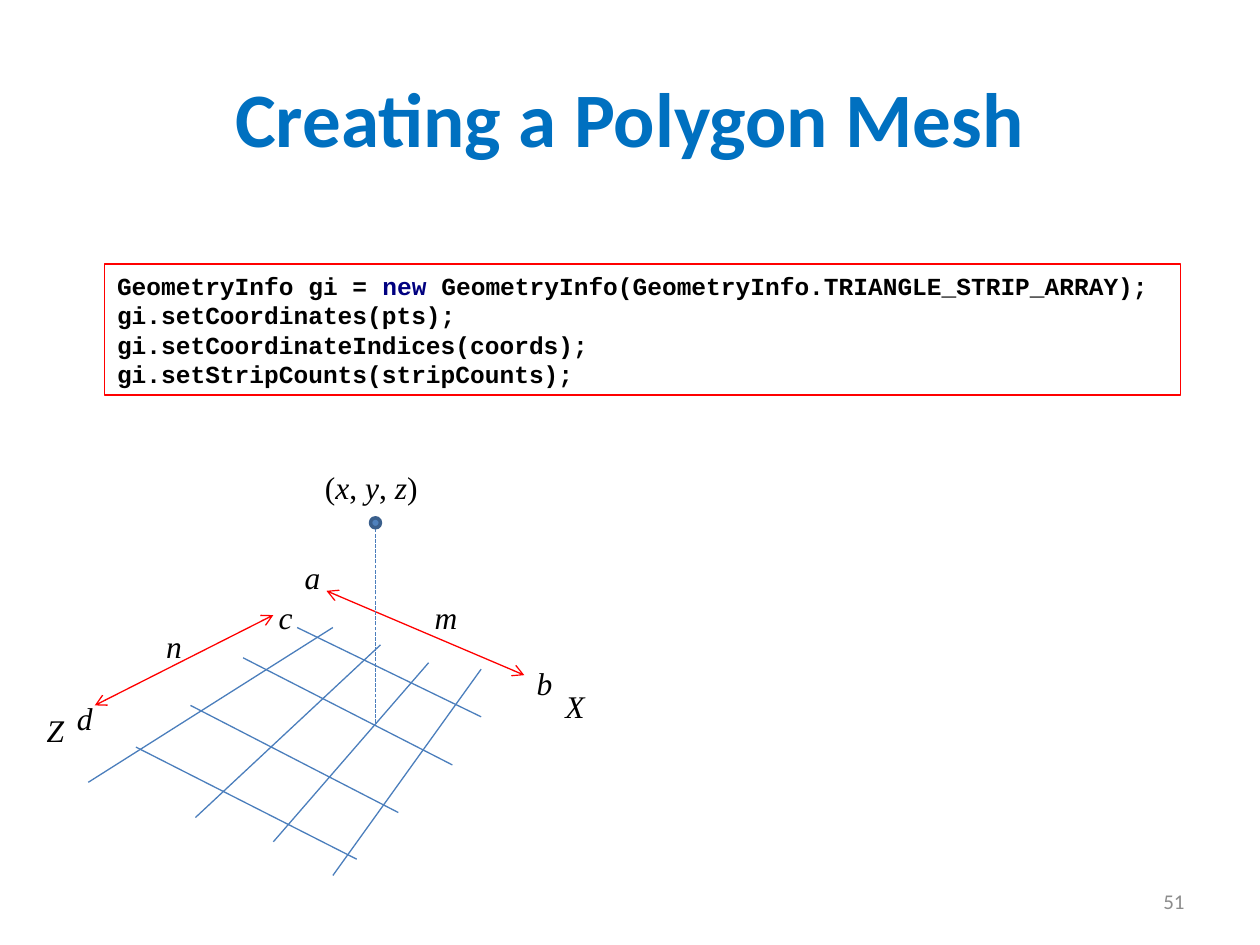
from dataclasses import dataclass

from lxml import etree
from pptx import Presentation
from pptx.dml.color import RGBColor
from pptx.enum.dml import MSO_LINE
from pptx.enum.shapes import MSO_CONNECTOR, MSO_SHAPE
from pptx.enum.text import MSO_ANCHOR, MSO_AUTO_SIZE, PP_ALIGN
from pptx.oxml.ns import qn
from pptx.util import Cm, Pt

STRAIGHT = MSO_CONNECTOR.STRAIGHT
RECTANGLE, OVAL = MSO_SHAPE.RECTANGLE, MSO_SHAPE.OVAL
TOP, MIDDLE = MSO_ANCHOR.TOP, MSO_ANCHOR.MIDDLE
LEFT, CENTER, RIGHT = PP_ALIGN.LEFT, PP_ALIGN.CENTER, PP_ALIGN.RIGHT
FIT_SHAPE, NO_FIT = MSO_AUTO_SIZE.SHAPE_TO_FIT_TEXT, MSO_AUTO_SIZE.NONE
SHORT_DASH = MSO_LINE.SQUARE_DOT

BLACK = RGBColor(0x00, 0x00, 0x00)
TITLE_BLUE = RGBColor(0x00, 0x70, 0xC0)
GREY = RGBColor(0x8C, 0x8C, 0x8C)
MESH_BLUE = RGBColor(0x4B, 0x7E, 0xBC)
POINT_FILL = RGBColor(0x4F, 0x81, 0xBD)
POINT_EDGE = RGBColor(0x3A, 0x5F, 0x8C)
RED = RGBColor(0xFF, 0x00, 0x00)
NAVY = RGBColor(0x00, 0x00, 0x80)


@dataclass(frozen=True)
class Span:
    text: str
    italic: bool = False
    color: RGBColor = BLACK


@dataclass(frozen=True)
class Line:
    """Straight line; lengths in centimetres."""
    x1: float
    y1: float
    x2: float
    y2: float
    color: RGBColor = MESH_BLUE
    dashed: bool = False
    arrows: bool = False


@dataclass(frozen=True)
class Label:
    """Italic letter; lengths in centimetres."""
    text: str
    left: float
    top: float
    width: float = 0.51
    wrap: bool = False


MESH_LINES = [
    # Along Z
    Line(1.78, 15.77, 6.71, 12.65),
    Line(3.94, 16.48, 7.67, 13.0),
    Line(5.51, 16.97, 8.64, 13.36),
    Line(6.71, 17.65, 9.7, 13.49),
    # Along X
    Line(9.7, 14.45, 5.99, 12.65),
    Line(9.12, 15.42, 4.9, 13.26),
    Line(8.03, 16.38, 3.84, 14.22),
    Line(7.19, 17.32, 2.74, 15.06),
    # Extents n and m
    Line(1.91, 14.22, 5.51, 12.4, RED, arrows=True),
    Line(10.57, 13.61, 6.58, 11.91, RED, arrows=True),
]
HEIGHT_LINE = Line(7.57, 14.58, 7.57, 10.67, dashed=True)

LABELS = [
    Label("a", 5.89, 11.13),
    Label("b", 10.57, 13.26),
    Label("d", 1.3, 13.97),
    Label("c", 5.51, 11.94, 0.36, wrap=True),
    Label("m", 8.51, 11.94, 0.58),
    Label("n", 3.1, 12.52),
    Label("Z", 0.69, 14.2),
    Label("X", 11.15, 13.72),
]

CODE = [
    [Span("GeometryInfo gi = "), Span("new ", color=NAVY),
     Span("GeometryInfo(GeometryInfo.TRIANGLE_STRIP_ARRAY);")],
    [Span("gi.setCoordinates(pts);")],
    [Span("gi.setCoordinateIndices(coords);")],
    [Span("gi.setStripCounts(stripCounts);")],
]
COORDINATES = [Span(part, italic=part in "xyz")
               for part in ("(", "x", ", ", "y", ", ", "z", ")")]


def write_text(box, paragraphs: list[list[Span]], *, font: str, size: float,
               bold: bool = False, align: PP_ALIGN = LEFT,
               anchor: MSO_ANCHOR = TOP, wrap: bool = False,
               grow: bool = True) -> None:
    frame = box.text_frame
    frame.word_wrap = wrap
    frame.auto_size = FIT_SHAPE if grow else NO_FIT
    frame.vertical_anchor = anchor
    for index, spans in enumerate(paragraphs):
        para = frame.add_paragraph() if index else frame.paragraphs[0]
        para.alignment = align
        for span in spans:
            run = para.add_run()
            run.text = span.text
            run.font.name = font
            run.font.size = Pt(size)
            run.font.bold = bold
            run.font.italic = span.italic
            run.font.color.rgb = span.color


def add_text(page, left: float, top: float, width: float, height: float,
             spans: list[Span], **text_format) -> None:
    box = page.shapes.add_textbox(Cm(left), Cm(top), Cm(width), Cm(height))
    write_text(box, [spans], **text_format)


def add_line(page, line: Line) -> None:
    connector = page.shapes.add_connector(
        STRAIGHT, Cm(line.x1), Cm(line.y1), Cm(line.x2), Cm(line.y2))
    connector.line.color.rgb = line.color
    connector.line.width = Pt(0.75)
    if line.dashed:
        connector.line.dash_style = SHORT_DASH
    if line.arrows:
        outline = connector.line._get_or_add_ln()
        for end in ("a:headEnd", "a:tailEnd"):
            etree.SubElement(outline, qn(end), type="arrow")
    etree.SubElement(connector._element.spPr, qn("a:effectLst"))


def main() -> None:
    deck = Presentation()
    deck.slide_width, deck.slide_height = Cm(25.4), Cm(19.05)
    page = deck.slides.add_slide(deck.slide_layouts[6])

    # Title and page number
    add_text(page, 1.27, 0.76, 22.86, 3.18,
             [Span("Creating a Polygon Mesh", color=TITLE_BLUE)],
             font="Calibri", size=44, bold=True, align=CENTER,
             anchor=MIDDLE, wrap=True, grow=False)
    add_text(page, 18.21, 17.65, 5.92, 1.02, [Span("51", color=GREY)],
             font="Calibri", size=12, align=RIGHT, anchor=MIDDLE,
             wrap=True, grow=False)

    # Mesh with its extents and letters
    for line in MESH_LINES:
        add_line(page, line)
    for label in LABELS:
        add_text(page, label.left, label.top, label.width, 0.61,
                 [Span(label.text, italic=True)],
                 font="Times New Roman", size=18, wrap=label.wrap)

    # Point above the mesh
    add_line(page, HEIGHT_LINE)
    add_text(page, 6.3, 9.32, 2.46, 1.02, COORDINATES,
             font="Times New Roman", size=18)
    point = page.shapes.add_shape(OVAL, Cm(7.47), Cm(10.44), Cm(0.2), Cm(0.2))
    point.shadow.inherit = False
    point.fill.solid()
    point.fill.fore_color.rgb = POINT_FILL
    point.line.color.rgb = POINT_EDGE
    point.line.width = Pt(2)

    # Code
    code_box = page.shapes.add_shape(
        RECTANGLE, Cm(2.11), Cm(5.33), Cm(21.69), Cm(2.64))
    code_box.shadow.inherit = False
    code_box.fill.background()
    code_box.line.color.rgb = RED
    code_box.line.width = Pt(1)
    write_text(code_box, CODE, font="Courier New", size=14, bold=True,
               anchor=MIDDLE)

    deck.save("out.pptx")


if __name__ == "__main__":
    main()
